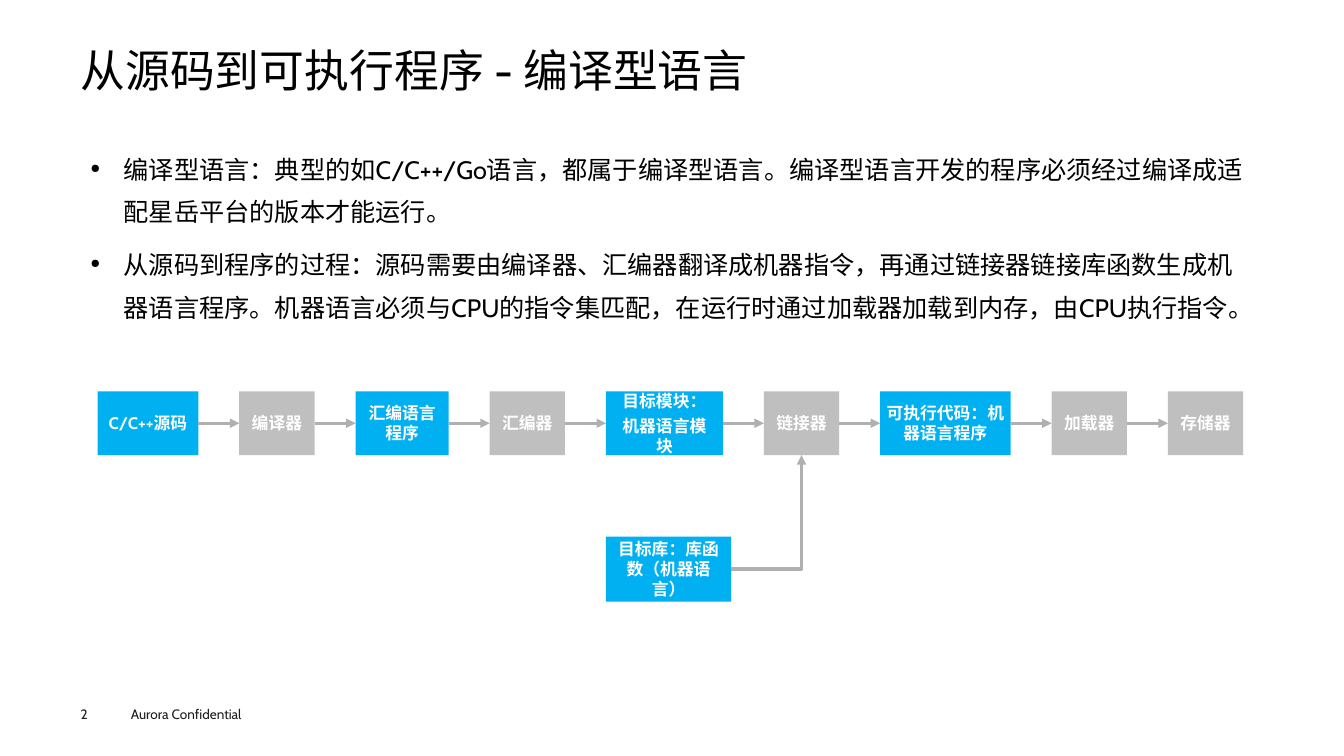
from dataclasses import dataclass

from lxml.etree import SubElement
from pptx import Presentation
from pptx.dml.color import RGBColor
from pptx.enum.shapes import MSO_CONNECTOR, MSO_SHAPE
from pptx.enum.text import MSO_ANCHOR, MSO_AUTO_SIZE, PP_ALIGN
from pptx.oxml.ns import qn
from pptx.util import Cm, Pt

# Content
TITLE = "从源码到可执行程序 - 编译型语言"
BULLETS = [
    "编译型语言：典型的如C/C++/Go语言，都属于编译型语言。编译型语言开发的程序必须经过编译成适配星岳平台的版本才能运行。",
    "从源码到程序的过程：源码需要由编译器、汇编器翻译成机器指令，再通过链接器链接库函数生成机器语言程序。"
    "机器语言必须与CPU的指令集匹配，在运行时通过加载器加载到内存，由CPU执行指令。",
]
# Each step: paragraphs, kind, width in cm, side inset in cm
STEPS = [
    (["C/C++源码"], "code", 2.54, 0.25),
    (["编译器"], "tool", 1.9, 0.25),
    (["汇编语言程序"], "code", 2.35, 0.25),
    (["汇编器"], "tool", 1.9, 0.25),
    (["目标模块：", "机器语言模块"], "code", 2.95, 0.25),
    (["链接器"], "tool", 1.9, 0.25),
    (["可执行代码：机器语言程序"], "code", 3.29, 0),
    (["加载器"], "tool", 1.9, 0),
    (["存储器"], "tool", 1.9, 0),
]
MODULE, LINKER = 4, 5
LIBRARY = (["目标库：库函数（机器语言）"], "code", 3.16, 0.25)
FOOTER = "Aurora Confidential"
PAGE_NUMBER = "2"

# Flow geometry in cm
FLOW_LEFT, FLOW_TOP, STEP_HEIGHT, STEP_GAP = 2.46, 9.86, 1.61, 1.03
LIBRARY_TOP, LIBRARY_HEIGHT = 13.52, 1.64


@dataclass(frozen=True)
class Theme:
    font: str = "Cabin"
    ink: str = "000000"
    footer_ink: str = "1D1D1B"
    label: str = "FFFFFF"
    code: str = "00B0F0"
    tool: str = "BFBFBF"
    arrow: str = "B0B0B0"
    title_size: float = 32
    body_size: float = 18
    step_size: float = 12
    footer_size: float = 9.7


THEME = Theme()


def add_span(para, text, size, color, bold=False):
    span = para.add_run()
    span.text = text
    span.font.name = THEME.font
    span.font.size = Pt(size)
    span.font.bold = bold
    span.font.color.rgb = RGBColor.from_string(color)
    SubElement(span.font._element, qn("a:ea")).set("typeface", THEME.font)


def set_insets(frame, side, vertical):
    frame.margin_left = frame.margin_right = Cm(side)
    frame.margin_top = frame.margin_bottom = Cm(vertical)


def paragraphs(frame, texts):
    for index, text in enumerate(texts):
        yield (frame.add_paragraph() if index else frame.paragraphs[0]), text


def add_text_box(page, left, top, width, height, side, vertical):
    frame = page.shapes.add_textbox(Cm(left), Cm(top), Cm(width), Cm(height)).text_frame
    frame.word_wrap = True
    set_insets(frame, side, vertical)
    return frame


def add_bullet(para):
    properties = para._p.get_or_add_pPr()
    properties.set("marL", str(Cm(0.84)))
    properties.set("indent", str(-Cm(0.84)))
    SubElement(properties, qn("a:buSzPct")).set("val", "50000")
    SubElement(properties, qn("a:buChar")).set("char", "●")


def add_step(page, step, left, top, height):
    texts, kind, width, side = step
    box = page.shapes.add_shape(MSO_SHAPE.RECTANGLE, Cm(left), Cm(top), Cm(width), Cm(height))
    box.shadow.inherit = False
    box.fill.solid()
    box.fill.fore_color.rgb = RGBColor.from_string(getattr(THEME, kind))
    box.line.fill.background()
    frame = box.text_frame
    frame.word_wrap = True
    frame.vertical_anchor = MSO_ANCHOR.MIDDLE
    set_insets(frame, side, 0.13)
    for para, text in paragraphs(frame, texts):
        para.alignment = PP_ALIGN.CENTER
        para.space_before = Pt(3)
        add_span(para, text, THEME.step_size, THEME.label, bold=True)
    return box


def add_arrow(page, kind, source, source_side, target, target_side):
    arrow = page.shapes.add_connector(kind, 0, 0, 0, 0)
    arrow.begin_connect(source, source_side)
    arrow.end_connect(target, target_side)
    arrow.line.color.rgb = RGBColor.from_string(THEME.arrow)
    arrow.line.width = Pt(2.25)
    SubElement(arrow.line._get_or_add_ln(), qn("a:tailEnd")).set("type", "triangle")
    SubElement(arrow._element.spPr, qn("a:effectLst"))
    return arrow


def main():
    deck = Presentation()
    deck.slide_width, deck.slide_height = Cm(33.87), Cm(19.05)
    page = deck.slides.add_slide(deck.slide_layouts[5])

    # Title
    title = page.shapes.title
    title.left, title.top, title.width, title.height = Cm(2.03), Cm(1.24), Cm(29.8), Cm(2.8)
    frame = title.text_frame
    frame.auto_size = MSO_AUTO_SIZE.NONE
    frame.vertical_anchor = MSO_ANCHOR.TOP
    set_insets(frame, 0, 0)
    para = frame.paragraphs[0]
    para.alignment = PP_ALIGN.LEFT
    para.line_spacing = 0.9
    add_span(para, TITLE, THEME.title_size, THEME.ink)

    # Bullets
    frame = add_text_box(page, 2.03, 3.45, 29.7, 13, 0.25, 0.13)
    for para, text in paragraphs(frame, BULLETS):
        para.line_spacing = 1.4
        para.space_before = Pt(7.9)
        add_bullet(para)
        add_span(para, text, THEME.body_size, THEME.ink)

    # Row of steps
    boxes, left = [], FLOW_LEFT
    for step in STEPS:
        boxes.append(add_step(page, step, left, FLOW_TOP, STEP_HEIGHT))
        left += step[2] + STEP_GAP
    for source, target in zip(boxes, boxes[1:]):
        add_arrow(page, MSO_CONNECTOR.STRAIGHT, source, 3, target, 1)

    # Library feeding the linker, aligned with the module above it
    library = add_step(page, LIBRARY, boxes[MODULE].left.cm, LIBRARY_TOP, LIBRARY_HEIGHT)
    elbow = add_arrow(page, MSO_CONNECTOR.ELBOW, library, 3, boxes[LINKER], 2)
    elbow._element.spPr.find(qn("a:prstGeom")).set("prst", "bentConnector2")

    # Footer
    frame = add_text_box(page, 2.03, 17.78, 1.4, 0.41, 0, 0)
    add_span(frame.paragraphs[0], PAGE_NUMBER, THEME.footer_size, THEME.footer_ink)
    frame = add_text_box(page, 3.05, 17.65, 4.06, 0.69, 0.25, 0.13)
    add_span(frame.paragraphs[0], FOOTER, THEME.footer_size, THEME.footer_ink)

    deck.save("out.pptx")


if __name__ == "__main__":
    main()
